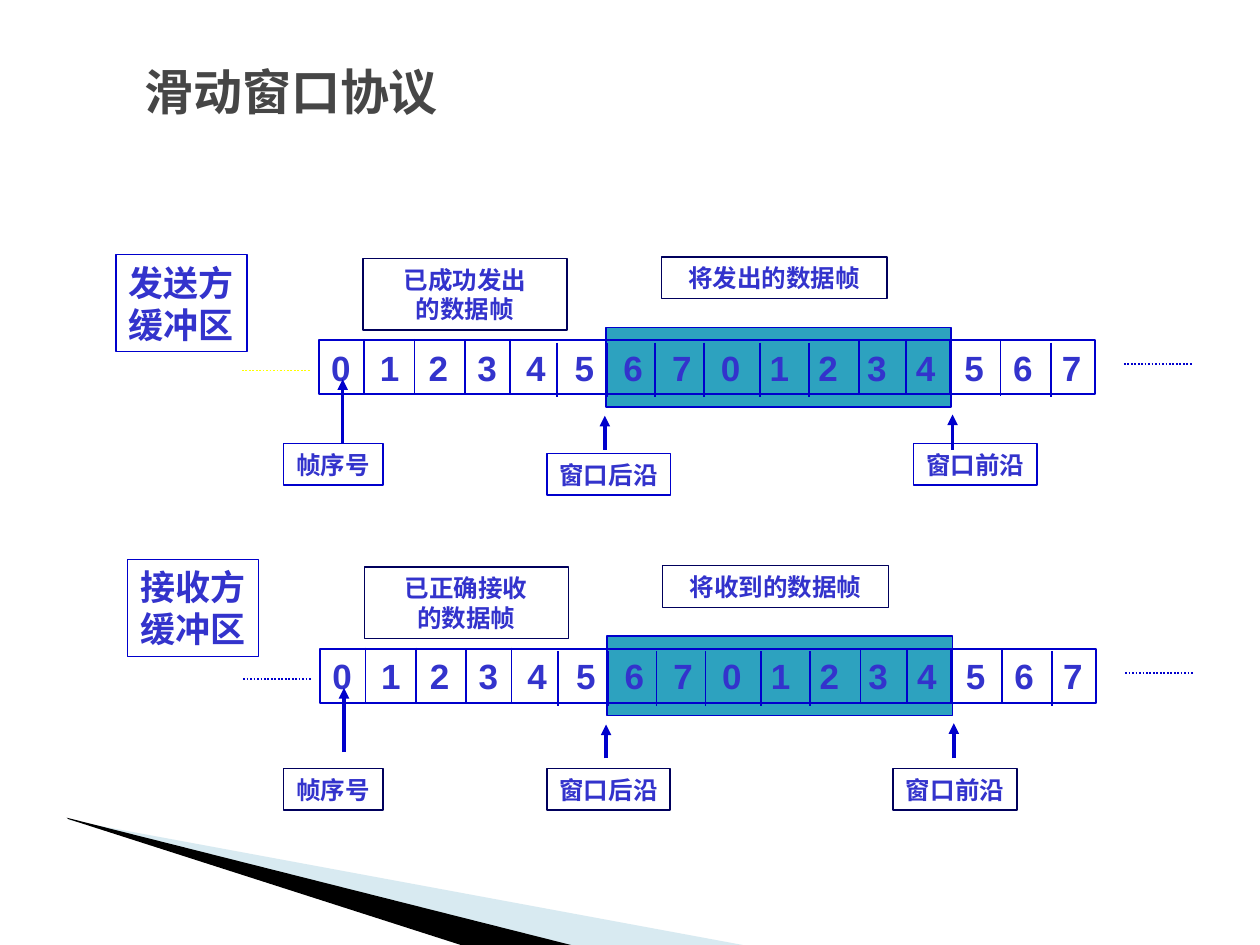
from dataclasses import dataclass

from lxml import etree
from pptx import Presentation
from pptx.dml.color import RGBColor
from pptx.enum.dml import MSO_LINE
from pptx.enum.shapes import MSO_CONNECTOR, MSO_SHAPE
from pptx.enum.text import MSO_ANCHOR, PP_ALIGN
from pptx.oxml.ns import qn
from pptx.util import Inches, Pt

RECTANGLE = MSO_SHAPE.RECTANGLE
STRAIGHT = MSO_CONNECTOR.STRAIGHT
DOTTED = MSO_LINE.ROUND_DOT
CENTER, LEFT = PP_ALIGN.CENTER, PP_ALIGN.LEFT
MIDDLE = MSO_ANCHOR.MIDDLE


@dataclass
class Theme:
    blue: str = "0000CC"
    navy: str = "00005C"
    yellow: str = "FFFF00"
    teal: str = "2DA2BF"
    pale: str = "9FCBDC"
    black: str = "000000"
    text: str = "3333CC"
    heading: str = "464646"
    font: str = "Arial"
    heading_font: str = "Courier New"
    title_size: int = 28
    large: int = 20
    small: int = 14
    thin: float = 0.75
    normal: float = 1
    thick: float = 2


class SlideBuilder:
    def __init__(self, slide, theme):
        self.slide, self.theme = slide, theme

    def add_text(self, shape, lines, size, color, font, align=CENTER, wrap=True):
        frame = shape.text_frame
        frame.word_wrap = wrap
        frame.vertical_anchor = MIDDLE
        for index, line in enumerate(lines):
            para = frame.add_paragraph() if index else frame.paragraphs[0]
            para.alignment = align
            span = para.add_run()
            span.text = line
            span.font.size, span.font.bold, span.font.name = Pt(size), True, font
            span.font.color.rgb = RGBColor.from_string(color)

    def title(self, area, text):
        box = self.slide.shapes.add_textbox(*map(Inches, area))
        theme = self.theme
        self.add_text(box, [text], theme.title_size, theme.heading, theme.heading_font)

    def box(self, area, lines=(), size=None, line=None, width=None, fill=None,
            align=CENTER, wrap=False):
        theme = self.theme
        box = self.slide.shapes.add_shape(RECTANGLE, *map(Inches, area))
        box.shadow.inherit = False
        if fill:
            box.fill.solid()
            box.fill.fore_color.rgb = RGBColor.from_string(fill)
        else:
            box.fill.background()
        box.line.color.rgb = RGBColor.from_string(line or theme.blue)
        box.line.width = Pt(width or theme.thin)
        if lines:
            self.add_text(box, lines, size or theme.small, theme.text, theme.font, align, wrap)
        return box

    def number_strip(self, area, numbers):
        theme = self.theme
        digit_width, insets = 0.16, 0.2
        pitch = (area[2] - insets - digit_width) / (len(numbers) - 1)
        strip = self.box(area, ["\t".join(numbers)], theme.large,
                         width=theme.normal, align=LEFT, wrap=True)
        properties = strip.text_frame.paragraphs[0]._p.get_or_add_pPr()
        tabs = etree.SubElement(properties, qn("a:tabLst"))
        for index in range(1, len(numbers)):
            etree.SubElement(tabs, qn("a:tab"), pos=str(Inches(index * pitch)), algn="l")

    def line(self, start, end, color=None, width=None, dash=None, arrow=False, parent=None):
        shapes = (parent or self.slide).shapes
        line = shapes.add_connector(STRAIGHT, *map(Inches, (*start, *end)))
        line.line.color.rgb = RGBColor.from_string(color or self.theme.blue)
        line.line.width = Pt(width or self.theme.normal)
        if dash:
            line.line.dash_style = dash
        properties = line._element.spPr
        if arrow:
            etree.SubElement(properties.get_or_add_ln(), qn("a:tailEnd"), type="triangle")
        etree.SubElement(properties, qn("a:effectLst"))

    def wedge(self, points, color, opacity=100):
        corners = [tuple(map(Inches, point)) for point in points]
        builder = self.slide.shapes.build_freeform(*corners[0])
        builder.add_line_segments(corners[1:], close=True)
        wedge = builder.convert_to_shape()
        wedge.shadow.inherit = False
        wedge.fill.solid()
        wedge.fill.fore_color.rgb = RGBColor.from_string(color)
        wedge.line.fill.background()
        if opacity < 100:
            fill_color = wedge._element.spPr.find(".//" + qn("a:srgbClr"))
            etree.SubElement(fill_color, qn("a:alpha"), val=str(opacity * 1000))


NUMBERS = [str(index % 8) for index in range(16)]
# Cell dividers: x position and top edge in the sender's strip
DIVIDERS = [(2.89, 2.69), (3.29, 2.69), (3.69, 2.7), (4.05, 2.69), (4.42, 2.72),
            (4.82, 2.72), (5.2, 2.72), (5.59, 2.72), (6.03, 2.72), (6.42, 2.72),
            (6.82, 2.7), (7.19, 2.7), (7.54, 2.7), (7.94, 2.71), (8.34, 2.72)]
DIVIDER_HEIGHT = 0.43


def draw_buffer(page, dx, dy, done, upcoming, left_dots):
    """Number strip with its window, captions and pointers, moved by dx, dy."""
    theme = page.theme

    def at(x, y, *size):
        return (x + dx, y + dy, *size)

    # Window and numbered cells
    page.box(at(4.81, 2.6, 2.74, 0.63), fill=theme.teal, width=theme.normal)
    page.number_strip(at(2.53, 2.7, 6.16, 0.43), NUMBERS)
    group = page.slide.shapes.add_group_shape()
    for x, top in DIVIDERS:
        page.line(at(x, top), at(x, top + DIVIDER_HEIGHT), parent=group)

    # Continuation dots
    page.line(at(1.92, 2.94), at(2.46, 2.94), left_dots, dash=DOTTED)
    page.line(at(8.92, 2.89), at(9.46, 2.89), dash=DOTTED)

    # Captions above the strip
    page.box(at(2.88, 2.05, 1.62, 0.57), done, line=theme.navy, wrap=True)
    page.box(at(5.25, 2.04, 1.79, 0.33), upcoming, line=theme.navy, wrap=True)

    # Pointers below the strip
    for x, bottom, top in ((2.72, 3.52, 3.01), (4.8, 3.57, 3.3), (7.56, 3.57, 3.29)):
        page.line(at(x, bottom), at(x, top), width=theme.thick, arrow=True)


def main():
    deck = Presentation()
    deck.slide_width, deck.slide_height = Inches(10), Inches(7.5)
    theme = Theme()
    page = SlideBuilder(deck.slides.add_slide(deck.slide_layouts[6]), theme)

    # Corner decoration
    page.wedge([(0.55, 6.51), (5.95, 7.51), (4.56, 7.51), (0.55, 6.5)], theme.pale, 40)
    page.wedge([(0.53, 6.49), (4.57, 7.51), (3.72, 7.52), (0.54, 6.5)], theme.black)

    # Heading
    page.title((0.35, 0.44, 3.92, 0.57), "滑动窗口协议")

    # Sender and receiver buffers
    draw_buffer(page, 0, 0, ["已成功发出", "的数据帧"], ["将发出的数据帧"], theme.yellow)
    draw_buffer(page, 0.01, 2.45, ["已正确接收", "的数据帧"], ["将收到的数据帧"], theme.blue)
    page.box((0.92, 2.02, 1.04, 0.77), ["发送方", "缓冲区"], theme.large)
    page.box((1.01, 4.44, 1.04, 0.77), ["接收方", "缓冲区"], theme.large)

    # Pointer labels
    labels = [
        ("帧序号", 2.25, 3.52, 0.79, theme.blue, theme.thin),
        ("窗口后沿", 4.34, 3.6, 0.98, theme.blue, theme.thin),
        ("窗口前沿", 7.25, 3.52, 0.98, theme.blue, theme.thin),
        ("帧序号", 2.25, 6.1, 0.79, theme.navy, theme.thin),
        ("窗口后沿", 4.34, 6.1, 0.98, theme.navy, theme.normal),
        ("窗口前沿", 7.09, 6.1, 0.98, theme.navy, theme.normal),
    ]
    for text, left, top, width, color, weight in labels:
        page.box((left, top, width, 0.33), [text], line=color, width=weight)

    deck.save("out.pptx")


if __name__ == "__main__":
    main()
